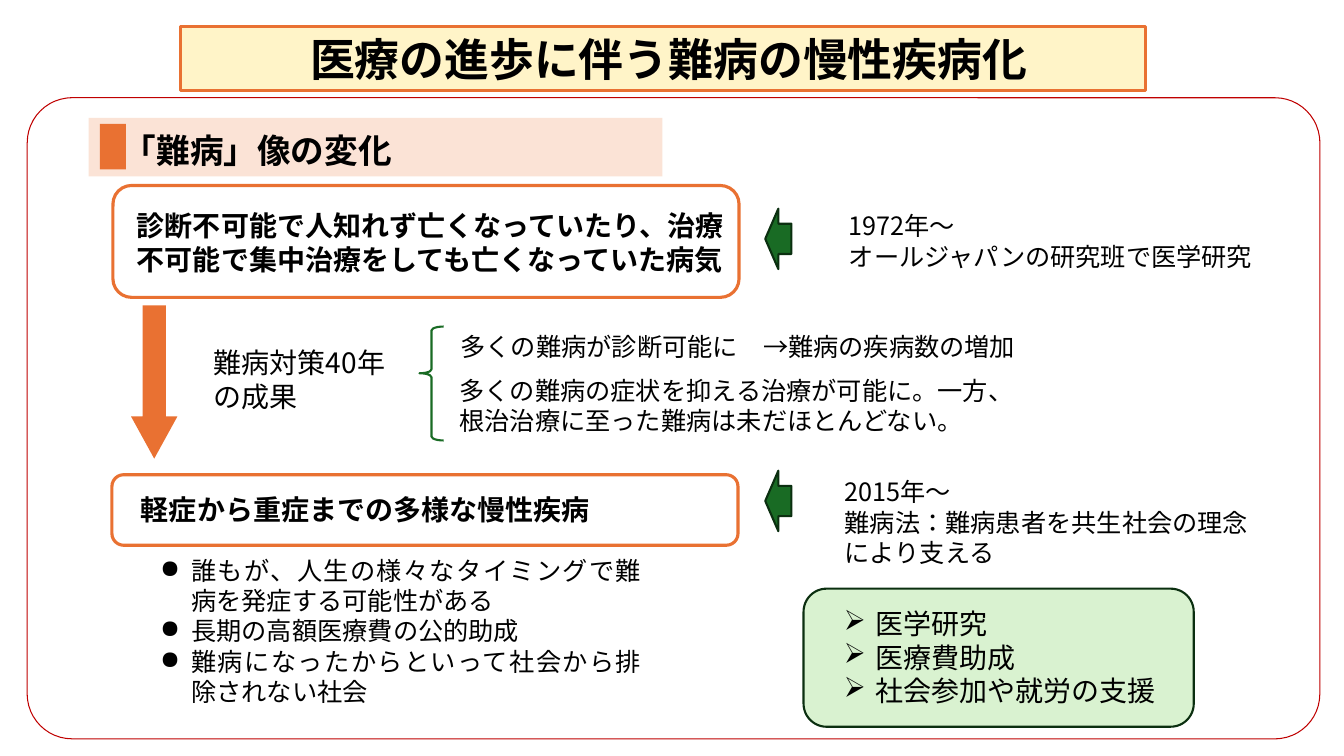
"""Build the slide on how medical progress turned intractable diseases into chronic ones."""
import pptx
import pptx.dml.color
import pptx.enum.lang
import pptx.enum.shapes
import pptx.enum.text
import pptx.oxml
import pptx.oxml.ns
import pptx.util
from dataclasses import dataclass

SHAPE = pptx.enum.shapes.MSO_SHAPE
ALIGN = pptx.enum.text.PP_ALIGN
PX = 9144


@dataclass(frozen=True)
class Theme:
    font: str = "Noto Sans CJK JP"
    ink: str = "000000"
    cream: str = "FFF4C8"
    orange: str = "E97132"
    peach: str = "FBE3D6"
    green: str = "196B24"
    dark_green: str = "0B2F10"
    pale_green: str = "D9F2D0"
    red: str = "C00000"
    title: int = 32
    heading: int = 24
    key: int = 20
    body: int = 18


theme = Theme()


def write(shape, text, size=theme.body, bold=False, align=ALIGN.LEFT, bullet=None, spacing=None):
    """Fill a shape with one paragraph per line of text."""
    frame = shape.text_frame
    frame.word_wrap = True
    for index, line in enumerate(text.split("\n")):
        paragraph = frame.add_paragraph() if index else frame.paragraphs[0]
        paragraph.alignment = align
        if spacing:
            paragraph.line_spacing = spacing
        if bullet:
            properties = paragraph._p.get_or_add_pPr()
            properties.set("marL", str(31 * PX))
            properties.set("indent", str(-31 * PX))
            mark = pptx.oxml.parse_xml(f'<a:buChar {pptx.oxml.ns.nsdecls("a")} char="{bullet}"/>')
            properties.append(mark)
        run = paragraph.add_run()
        run.text = line
        run.font.size = pptx.util.Pt(size)
        run.font.bold = bold
        run.font.language_id = pptx.enum.lang.MSO_LANGUAGE_ID.JAPANESE
        run.font.color.rgb = pptx.dml.color.RGBColor.from_string(theme.ink)
        run.font.name = theme.font
        east_asian = pptx.oxml.parse_xml(
            f'<a:ea {pptx.oxml.ns.nsdecls("a")} typeface="{theme.font}"/>')
        run._r.get_or_add_rPr().append(east_asian)


def paint(shape, fill=None, line=None, width=0):
    """Set the fill and outline of a shape; None leaves either off."""
    if fill:
        shape.fill.solid()
        shape.fill.fore_color.rgb = pptx.dml.color.RGBColor.from_string(fill)
    else:
        shape.fill.background()
    if line:
        shape.line.color.rgb = pptx.dml.color.RGBColor.from_string(line)
        shape.line.width = pptx.util.Pt(width)
    else:
        shape.line.fill.background()


deck = pptx.Presentation()
deck.slide_width, deck.slide_height = 1333 * PX, 750 * PX
slide = deck.slides.add_slide(deck.slide_layouts[5])

title = slide.shapes.title
title.left, title.top, title.width, title.height = (n * PX for n in (179, 26, 957, 64))
paint(title, theme.cream, theme.orange, 2)
title_frame = title.text_frame
title_frame.auto_size = pptx.enum.text.MSO_AUTO_SIZE.NONE
title_frame.vertical_anchor = pptx.enum.text.MSO_ANCHOR.MIDDLE
title_frame.margin_left, title_frame.margin_top = 12 * PX, 8 * PX
title_frame.margin_right = title_frame.margin_bottom = 0
write(title, "医療の進歩に伴う難病の慢性疾病化", size=theme.title, bold=True,
      align=ALIGN.CENTER, spacing=0.9)

support_arrow = dict(fill=theme.green, line=theme.dark_green, width=1.5)
disease_frame = dict(line=theme.orange, width=2.25)
panels = [
    (SHAPE.ROUNDED_RECTANGLE, (27, 97, 1282, 636), [0.07], dict(line=theme.red, width=0.75)),
    (SHAPE.RECTANGLE, (88, 117, 569, 58), [], dict(fill=theme.peach)),
    (SHAPE.RECTANGLE, (99, 123, 26, 45), [], dict(fill=theme.orange)),
    (SHAPE.ROUNDED_RECTANGLE, (112, 184, 621, 111), [], disease_frame),
    (SHAPE.ROUNDED_RECTANGLE, (111, 471, 621, 70), [], disease_frame),
    (SHAPE.DOWN_ARROW, (130, 303, 46, 152), [0.5, 0.91], dict(fill=theme.orange)),
    (SHAPE.LEFT_ARROW, (759, 207, 26, 60), [], support_arrow),
    (SHAPE.LEFT_ARROW, (759, 467, 26, 60), [], support_arrow),
    (SHAPE.LEFT_BRACE, (416, 324, 24, 113), [0.16, 0.41], dict(line=theme.green, width=1.5)),
    (SHAPE.ROUNDED_RECTANGLE, (797, 584, 387, 137), [],
     dict(fill=theme.pale_green, line=theme.dark_green, width=1.5)),
]
for kind, place, adjustments, colours in panels:
    panel = slide.shapes.add_shape(kind, *(n * PX for n in place))
    panel.shadow.inherit = False
    for index, adjustment in enumerate(adjustments):
        panel.adjustments[index] = adjustment
    paint(panel, **colours)

key_statement = dict(size=theme.key, bold=True)
passages = [
    ((112, 124, 294, 50), "「難病」像の変化", dict(size=theme.heading, bold=True)),
    ((126, 202, 604, 77),
     "診断不可能で人知れず亡くなっていたり、治療不可能で集中治療をしても亡くなっていた病気",
     key_statement),
    ((832, 204, 435, 71), "1972年〜\nオールジャパンの研究班で医学研究", {}),
    ((202, 338, 195, 77), "難病対策40年の成果", dict(size=theme.key)),
    ((447, 324, 576, 40), "多くの難病が診断可能に　→難病の疾病数の増加", {}),
    ((446, 367, 576, 71),
     "多くの難病の症状を抑える治療が可能に。一方、根治治療に至った難病は未だほとんどない。", {}),
    ((130, 484, 540, 44), "軽症から重症までの多様な慢性疾病", key_statement),
    ((828, 468, 435, 101), "2015年〜\n難病法：難病患者を共生社会の理念により支える", {}),
    ((149, 546, 497, 162),
     "誰もが、人生の様々なタイミングで難病を発症する可能性がある\n"
     "長期の高額医療費の公的助成\n"
     "難病になったからといって社会から排除されない社会",
     dict(bullet="●", align=ALIGN.JUSTIFY)),
    ((827, 597, 371, 111), "医学研究\n医療費助成\n社会参加や就労の支援",
     dict(size=theme.key, bullet="➢")),
]
for place, wording, style in passages:
    passage = slide.shapes.add_textbox(*(n * PX for n in place))
    write(passage, wording, **style)

deck.save("out.pptx")
